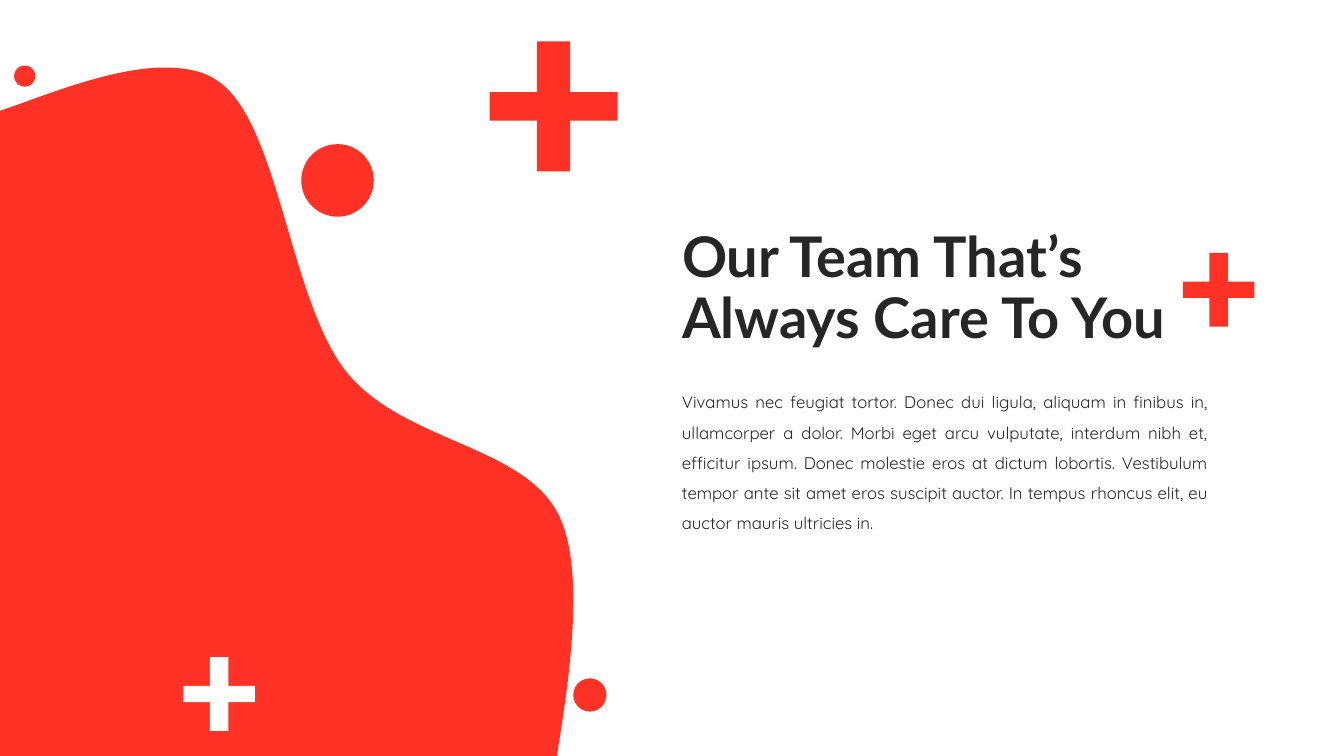
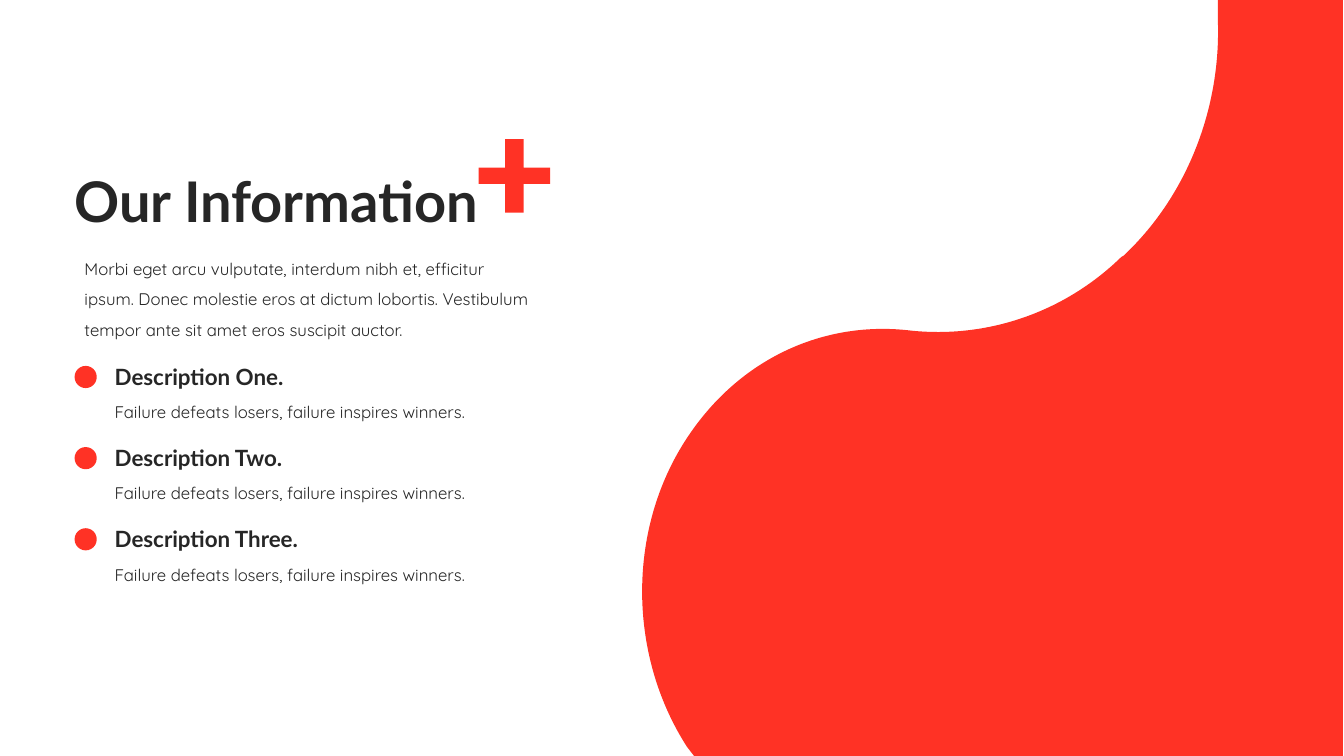
"""Build two healthcare slides: a team introduction and an information list."""
from lxml.etree import SubElement
from pptx import Presentation
from pptx.dml.color import RGBColor
from pptx.enum.shapes import MSO_SHAPE
from pptx.enum.text import MSO_ANCHOR, MSO_AUTO_SIZE, PP_ALIGN
from pptx.oxml.ns import qn
from pptx.util import Inches, Pt

RED = RGBColor(0xFF, 0x32, 0x25)
WHITE = RGBColor(0xFF, 0xFF, 0xFF)
DARK = RGBColor(0x26, 0x26, 0x26)
HEADING_FONT = "Lato"
BODY_FONT = "Quicksand"


def paint(shape, color):
    shape.shadow.inherit = False
    shape.fill.solid()
    shape.fill.fore_color.rgb = color
    shape.line.fill.background()


def write(shape, text, size, heading=False, spacing=None, align=PP_ALIGN.LEFT,
          auto_size=MSO_AUTO_SIZE.SHAPE_TO_FIT_TEXT):
    frame = shape.text_frame
    frame.text = text
    frame.word_wrap = True
    frame.auto_size = auto_size
    frame.vertical_anchor = MSO_ANCHOR.MIDDLE if heading else MSO_ANCHOR.TOP
    paragraph = frame.paragraphs[0]
    paragraph.alignment = align
    paragraph.line_spacing = spacing
    font = paragraph.runs[0].font
    font.name = HEADING_FONT if heading else BODY_FONT
    font.size = Pt(size)
    font.bold = heading
    font.color.rgb = DARK


presentation = Presentation()
presentation.slide_width = Inches(13.34)
presentation.slide_height = Inches(7.5)
title_only = presentation.slide_layouts[5]
team = presentation.slides.add_slide(title_only)
information = presentation.slides.add_slide(title_only)

titles = [
    (team, "Our Team That’s Always Care To You", 6.67, 2.15, 5.75),
    (information, "Our Information", 0.64, 1.3, 5.09),
]
for slide, text, left, top, width in titles:
    title = slide.shapes.title
    title.left, title.top = Inches(left), Inches(top)
    title.width, title.height = Inches(width), Inches(1.45)
    write(title, text, 40, heading=True, spacing=0.9, auto_size=MSO_AUTO_SIZE.NONE)

blobs = [
    (team, (0, 0.67, 5.69, 7.5), [
        [(1.61, 0.67)],
        [(1.08, 0.68), (0.41, 0.96), (0.03, 1.09)],
        [(0, 1.1)], [(0, 7.5)], [(5.53, 7.5)], [(5.54, 7.42)],
        [(5.65, 6.73), (5.81, 5.66), (5.55, 5.12)],
        [(5.21, 4.41), (3.99, 4.39), (3.43, 3.68)],
        [(2.87, 2.96), (2.77, 1.23), (2.17, 0.81)],
        [(2.02, 0.7), (1.83, 0.67), (1.61, 0.67)],
    ]),
    (information, (6.37, 0, 13.33, 7.5), [
        [(12.09, 0)],
        [(13.33, 0)], [(13.33, 7.5)], [(6.89, 7.5)], [(6.82, 7.41)],
        [(6.22, 6.48), (6.22, 5.21), (6.85, 4.3)],
        [(7.38, 3.53), (8.21, 3.18), (9.04, 3.28)],
        [(9.8, 3.36), (10.56, 3.1), (11.12, 2.56)],
        [(11.13, 2.55), (11.14, 2.54), (11.15, 2.54)],
        [(11.76, 1.97), (12.11, 1.12), (12.09, 0.24)],
        [(12.09, 0)],
    ]),
]
for slide, bounds, segments in blobs:
    left, top, right, bottom = [Inches(edge) for edge in bounds]
    builder = slide.shapes.build_freeform(left, top)
    builder.add_line_segments([(right, top), (right, bottom), (left, bottom)], close=True)
    blob = builder.convert_to_shape()
    outline = blob.element.find(".//" + qn("a:path"))
    for command in list(outline):
        outline.remove(command)
    for index, segment in enumerate(segments):
        tag = "a:moveTo" if index == 0 else "a:cubicBezTo" if len(segment) == 3 else "a:lnTo"
        command = SubElement(outline, qn(tag))
        for x, y in segment:
            SubElement(command, qn("a:pt"), x=str(Inches(x) - left), y=str(Inches(y) - top))
    SubElement(outline, qn("a:close"))
    paint(blob, RED)

pluses = [
    (team, 11.74, 2.51, 0.71, 0.73, RED),
    (team, 1.82, 6.52, 0.71, 0.73, WHITE),
    (team, 4.86, 0.41, 1.27, 1.29, RED),
    (information, 4.75, 1.38, 0.71, 0.73, RED),
]
for slide, left, top, width, height, color in pluses:
    x = [Inches(left + width * part) for part in (0, 0.37, 0.63, 1)]
    y = [Inches(top + height * part) for part in (0, 0.39, 0.61, 1)]
    builder = slide.shapes.build_freeform(x[1], y[0])
    builder.add_line_segments([
        (x[2], y[0]), (x[2], y[1]), (x[3], y[1]), (x[3], y[2]),
        (x[2], y[2]), (x[2], y[3]), (x[1], y[3]), (x[1], y[2]),
        (x[0], y[2]), (x[0], y[1]), (x[1], y[1])], close=True)
    paint(builder.convert_to_shape(), color)

for left, top, diameter in [(2.99, 1.43, 0.72), (5.69, 6.73, 0.33), (0.14, 0.65, 0.21)]:
    circle = team.shapes.add_shape(
        MSO_SHAPE.OVAL, Inches(left), Inches(top), Inches(diameter), Inches(diameter))
    paint(circle, RED)

team_text = team.shapes.add_textbox(Inches(6.67), Inches(3.74), Inches(5.42), Inches(1.6))
write(team_text,
      "Vivamus nec feugiat tortor. Donec dui ligula, aliquam in finibus in, ullamcorper a "
      "dolor. Morbi eget arcu vulputate, interdum nibh et, efficitur ipsum. Donec molestie "
      "eros at dictum lobortis. Vestibulum tempor ante sit amet eros suscipit auctor. In "
      "tempus rhoncus elit, eu auctor mauris ultricies in.",
      12, spacing=1.5, align=PP_ALIGN.JUSTIFY)

introduction = information.shapes.add_textbox(
    Inches(0.74), Inches(2.42), Inches(4.61), Inches(1))
write(introduction,
      "Morbi eget arcu vulputate, interdum nibh et, efficitur ipsum. Donec molestie eros at "
      "dictum lobortis. Vestibulum tempor ante sit amet eros suscipit auctor.",
      12, spacing=1.5)

row_pitch = 1.61 / 2
for index, number in enumerate(["One", "Two", "Three"]):
    top = 3.55 + index * row_pitch
    row = information.shapes.add_group_shape().shapes
    heading = row.add_textbox(Inches(1.04), Inches(top), Inches(2.85), Inches(0.37))
    write(heading, f"Description {number}.", 16, heading=True)
    detail = row.add_textbox(Inches(1.04), Inches(top + 0.29), Inches(4.05), Inches(0.4))
    write(detail, "Failure defeats losers, failure inspires winners.", 12,
          spacing=1.5, align=PP_ALIGN.JUSTIFY)
    bullet = row.add_shape(
        MSO_SHAPE.OVAL, Inches(0.74), Inches(top + 0.08), Inches(0.22), Inches(0.22))
    paint(bullet, RED)

presentation.save("out.pptx")
